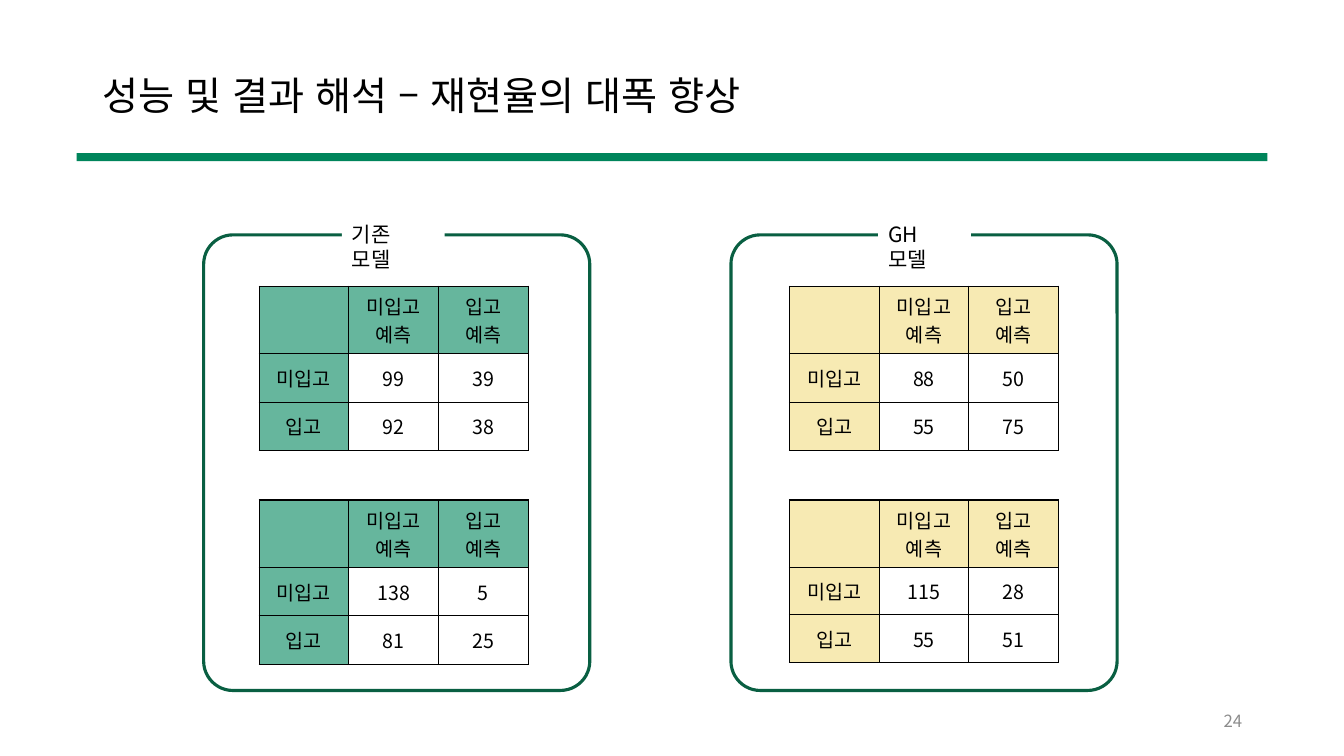
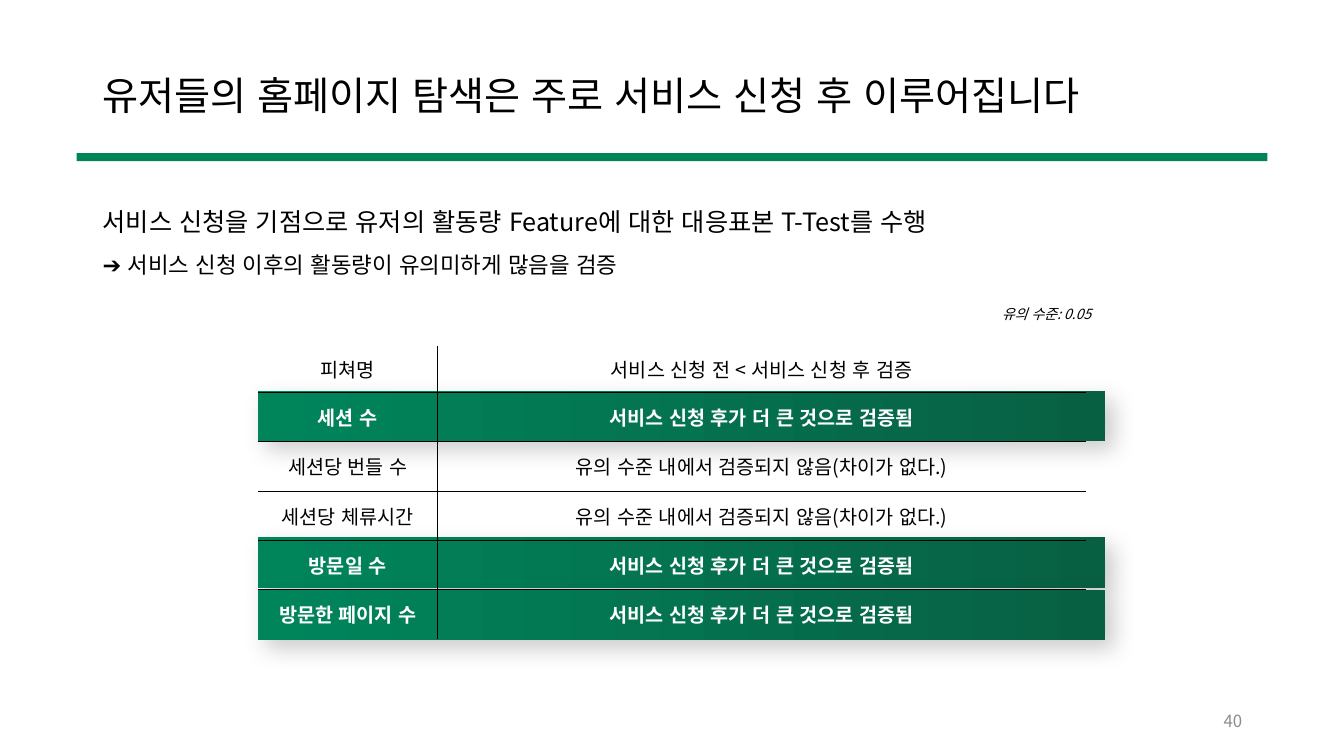
from lxml import etree
from pptx import Presentation
from pptx.dml.color import RGBColor
from pptx.enum.lang import MSO_LANGUAGE_ID
from pptx.enum.shapes import MSO_SHAPE
from pptx.enum.text import MSO_ANCHOR, MSO_AUTO_SIZE, PP_ALIGN
from pptx.oxml.ns import qn
from pptx.util import Emu, Pt

EMU_PER_PX = 9144  # 100 px to the inch
FONT = "Noto Sans CJK KR"
NO_GRID_STYLE = "{2D5ABB26-0587-4C30-8999-92F81FD0307C}"

BLACK = RGBColor(0x00, 0x00, 0x00)
WHITE = RGBColor(0xFF, 0xFF, 0xFF)
GRAY = RGBColor(0x8C, 0x8C, 0x8C)
GREEN = RGBColor(0x00, 0x85, 0x5B)
DARK_GREEN = RGBColor(0x08, 0x60, 0x43)
OUTLINE_GREEN = RGBColor(0x09, 0x5F, 0x42)
MINT = RGBColor(0x66, 0xB6, 0x9D)
CREAM = RGBColor(0xF7, 0xEA, 0xB3)


def px(*lengths):
    return [Emu(length * EMU_PER_PX) for length in lengths]


def write_text(frame, text, *, size, color=BLACK, bold=False, italic=False,
               align=PP_ALIGN.LEFT, line_spacing=None):
    """Fill the frame with one paragraph; a vertical tab breaks the line."""
    frame.text = text
    paragraph = frame.paragraphs[0]
    paragraph.alignment = align
    paragraph.line_spacing = line_spacing
    for line_break in paragraph._p.iter(qn("a:br")):
        etree.SubElement(line_break, qn("a:rPr"), sz=str(size * 100))
    for run in paragraph.runs:
        font = run.font
        font.name, font.size = FONT, Pt(size)
        font.bold, font.italic = bold, italic
        font.color.rgb = color
        font.language_id = MSO_LANGUAGE_ID.KOREAN
        etree.SubElement(run._r.get_or_add_rPr(), qn("a:ea"), typeface=FONT)


def add_text(slide, box, text, *, anchor=MSO_ANCHOR.TOP, grow=True, fill=None, **style):
    text_box = slide.shapes.add_textbox(*px(*box))
    frame = text_box.text_frame
    frame.word_wrap = True
    frame.vertical_anchor = anchor
    frame.auto_size = MSO_AUTO_SIZE.SHAPE_TO_FIT_TEXT if grow else MSO_AUTO_SIZE.NONE
    if fill is not None:
        text_box.fill.solid()
        text_box.fill.fore_color.rgb = fill
    write_text(frame, text, **style)


def add_plain_shape(slide, kind, box):
    shape = slide.shapes.add_shape(kind, *px(*box))
    shape.shadow.inherit = False
    return shape


def add_titled_slide(deck, title, page):
    """Add a slide with the shared title, green band and page number."""
    slide = deck.slides.add_slide(deck.slide_layouts[5])
    heading = slide.shapes.title
    heading.left, heading.top, heading.width, heading.height = px(92, 56, 1150, 83)
    heading.text_frame.vertical_anchor = MSO_ANCHOR.MIDDLE
    heading.text_frame.auto_size = MSO_AUTO_SIZE.NONE
    write_text(heading.text_frame, title, size=28, line_spacing=0.9)

    band = add_plain_shape(slide, MSO_SHAPE.RECTANGLE, (76, 152, 1181, 8))
    band.fill.solid()
    band.fill.fore_color.rgb = GREEN
    band.line.fill.background()

    add_text(slide, (942, 695, 300, 40), str(page), anchor=MSO_ANCHOR.MIDDLE,
             grow=False, size=12, color=GRAY, align=PP_ALIGN.RIGHT)
    return slide


def add_outline_panel(slide, box):
    panel = add_plain_shape(slide, MSO_SHAPE.ROUNDED_RECTANGLE, box)
    panel.adjustments[0] = 0.076
    panel.fill.background()
    panel.line.color.rgb = OUTLINE_GREEN
    panel.line.width = Pt(2.25)


def add_highlight_bar(slide, box):
    """Add a gradient bar with a soft shadow to lie behind a table row."""
    bar = add_plain_shape(slide, MSO_SHAPE.RECTANGLE, box)
    bar.line.fill.background()
    bar.fill.gradient()
    bar.fill.gradient_angle = 0
    for stop, color in zip(bar.fill.gradient_stops, (GREEN, DARK_GREEN)):
        stop.color.rgb = color
    effects = bar._element.spPr.find(qn("a:effectLst"))
    shadow = etree.SubElement(effects, qn("a:outerShdw"), blurRad=str(Pt(16)),
                              dist=str(Pt(8)), dir=str(45 * 60000),
                              algn="tl", rotWithShape="0")
    shadow_color = etree.SubElement(shadow, qn("a:srgbClr"), val=str(BLACK))
    etree.SubElement(shadow_color, qn("a:alpha"), val="20000")


def draw_borders(cell, sides, width):
    """Draw black lines on the given sides, named L, R, T and B in that order."""
    properties = cell._tc.get_or_add_tcPr()
    for side in sides:
        line = etree.SubElement(properties, qn(f"a:ln{side}"), w=str(Pt(width)))
        paint = etree.SubElement(line, qn("a:solidFill"))
        etree.SubElement(paint, qn("a:srgbClr"), val=str(BLACK))


def add_table(slide, left, top, rows, widths, heights, *, border, outer=True,
              header_fill=None, bold_rows=()):
    """Add a table; header_fill colours the first row and the first column."""
    last_row, last_column = len(rows) - 1, len(widths) - 1
    table = slide.shapes.add_table(
        len(rows), len(widths), *px(left, top, sum(widths), sum(heights))).table
    table.first_row = table.horz_banding = False
    table._tbl.tblPr.find(qn("a:tableStyleId")).text = NO_GRID_STYLE
    for column, width in zip(table.columns, px(*widths)):
        column.width = width
    for row, height in zip(table.rows, px(*heights)):
        row.height = height
    for r, texts in enumerate(rows):
        strong = r in bold_rows
        for c, text in enumerate(texts):
            cell = table.cell(r, c)
            cell.vertical_anchor = MSO_ANCHOR.MIDDLE
            inner = {"L": c > 0, "R": c < last_column, "T": r > 0, "B": r < last_row}
            draw_borders(cell, [side for side in inner if outer or inner[side]], border)
            if header_fill is not None and (r == 0 or c == 0):
                cell.fill.solid()
                cell.fill.fore_color.rgb = header_fill
            else:
                cell.fill.background()
            write_text(cell.text_frame, text, size=14, bold=strong,
                       color=WHITE if strong else BLACK, align=PP_ALIGN.CENTER)


def add_confusion_matrix(slide, left, top, counts, header_fill, row_height):
    rows = [("", "미입고\v예측", "입고\v예측")]
    for label, values in zip(("미입고", "입고"), counts):
        rows.append((label, *map(str, values)))
    add_table(slide, left, top, rows, [89] * 3, (67, row_height, row_height),
              border=1, header_fill=header_fill)


def build_recall_slide(deck):
    slide = add_titled_slide(deck, "성능 및 결과 해석 – 재현율의 대폭 향상", 24)
    models = [
        ("기존\v모델", 202, (339, 102), 257, MINT,
         [(((99, 39), (92, 38)), 48), (((138, 5), (81, 25)), 48)]),
        ("GH\v모델", 725, (871, 92), 783, CREAM,
         [(((88, 50), (55, 75)), 48), (((115, 28), (55, 51)), 47)]),
    ]
    for name, panel_left, (name_left, name_width), left, tint, matrices in models:
        add_outline_panel(slide, (panel_left, 233, 383, 452))
        add_text(slide, (name_left, 215, name_width, 35), name, fill=WHITE, size=15)
        for top, (counts, row_height) in zip((284, 496), matrices):
            add_confusion_matrix(slide, left, top, counts, tint, row_height)


def build_test_slide(deck):
    slide = add_titled_slide(
        deck, "유저들의 홈페이지 탐색은 주로 서비스 신청 후 이루어집니다", 40)
    for top in (388, 533, 585):
        add_highlight_bar(slide, (256, top, 840, 50))

    add_text(slide, (92, 200, 971, 40),
             "서비스 신청을 기점으로 유저의 활동량 Feature에 대한 대응표본 T-Test를 수행", size=18)
    add_text(slide, (92, 244, 971, 37),
             "➔ 서비스 신청 이후의 활동량이 유의미하게 많음을 검증", size=16)

    larger = "서비스 신청 후가 더 큰 것으로 검증됨"
    unproven = "유의 수준 내에서 검증되지 않음(차이가 없다.)"
    findings = [
        ("피쳐명", "서비스 신청 전 < 서비스 신청 후 검증"),
        ("세션 수", larger),
        ("세션당 번들 수", unproven),
        ("세션당 체류시간", unproven),
        ("방문일 수", larger),
        ("방문한 페이지 수", larger),
    ]
    proven_rows = [r for r, (_, result) in enumerate(findings) if result == larger]
    add_table(slide, 256, 343, findings, [178, 643], [46] + [49] * 5,
              border=0.5, outer=False, bold_rows=proven_rows)
    add_text(slide, (955, 298, 137, 27), "유의 수준: 0.05", size=10, italic=True,
             align=PP_ALIGN.RIGHT)


def main():
    deck = Presentation()
    deck.slide_width, deck.slide_height = px(1333, 750)
    build_recall_slide(deck)
    build_test_slide(deck)
    deck.save("out.pptx")


if __name__ == "__main__":
    main()
